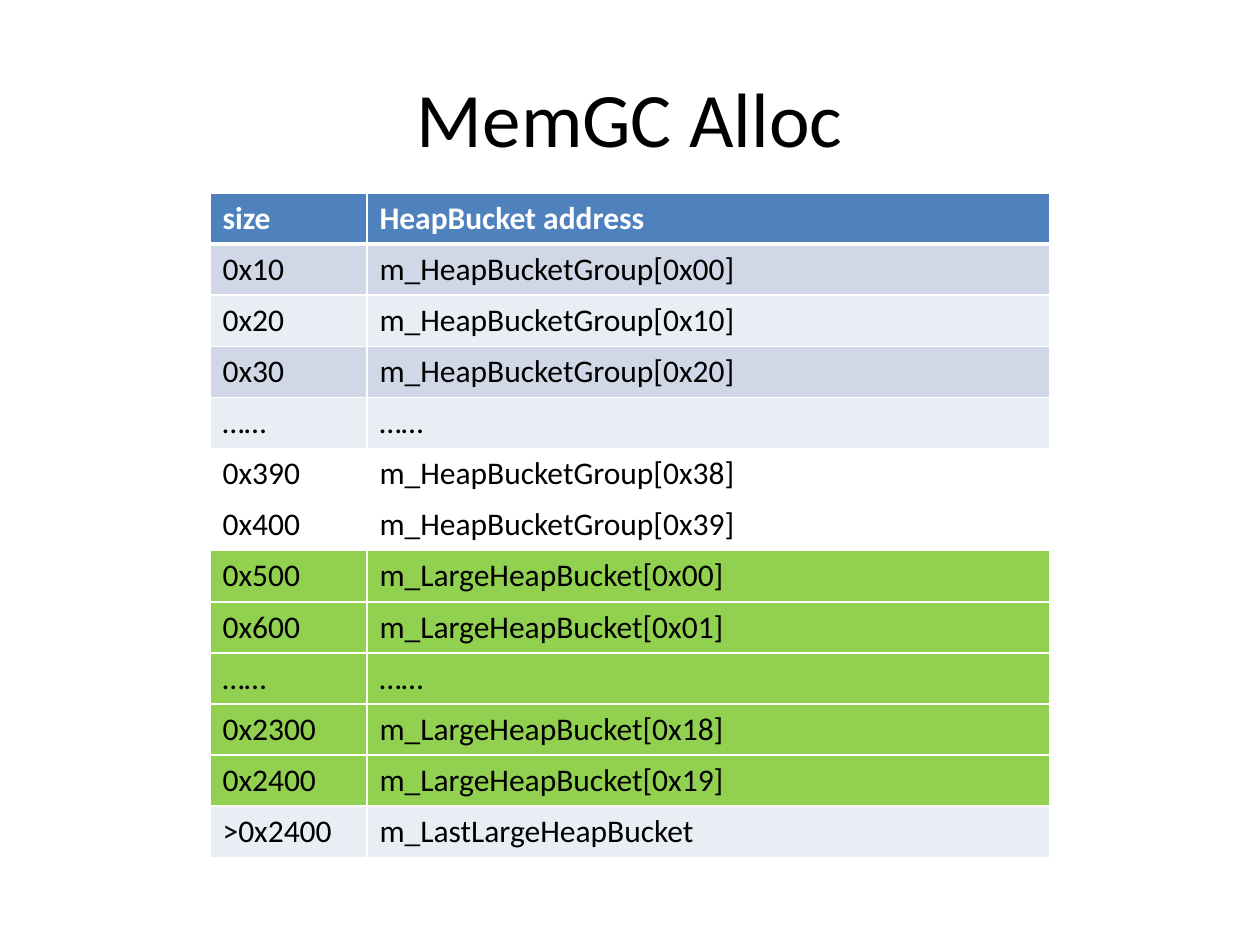
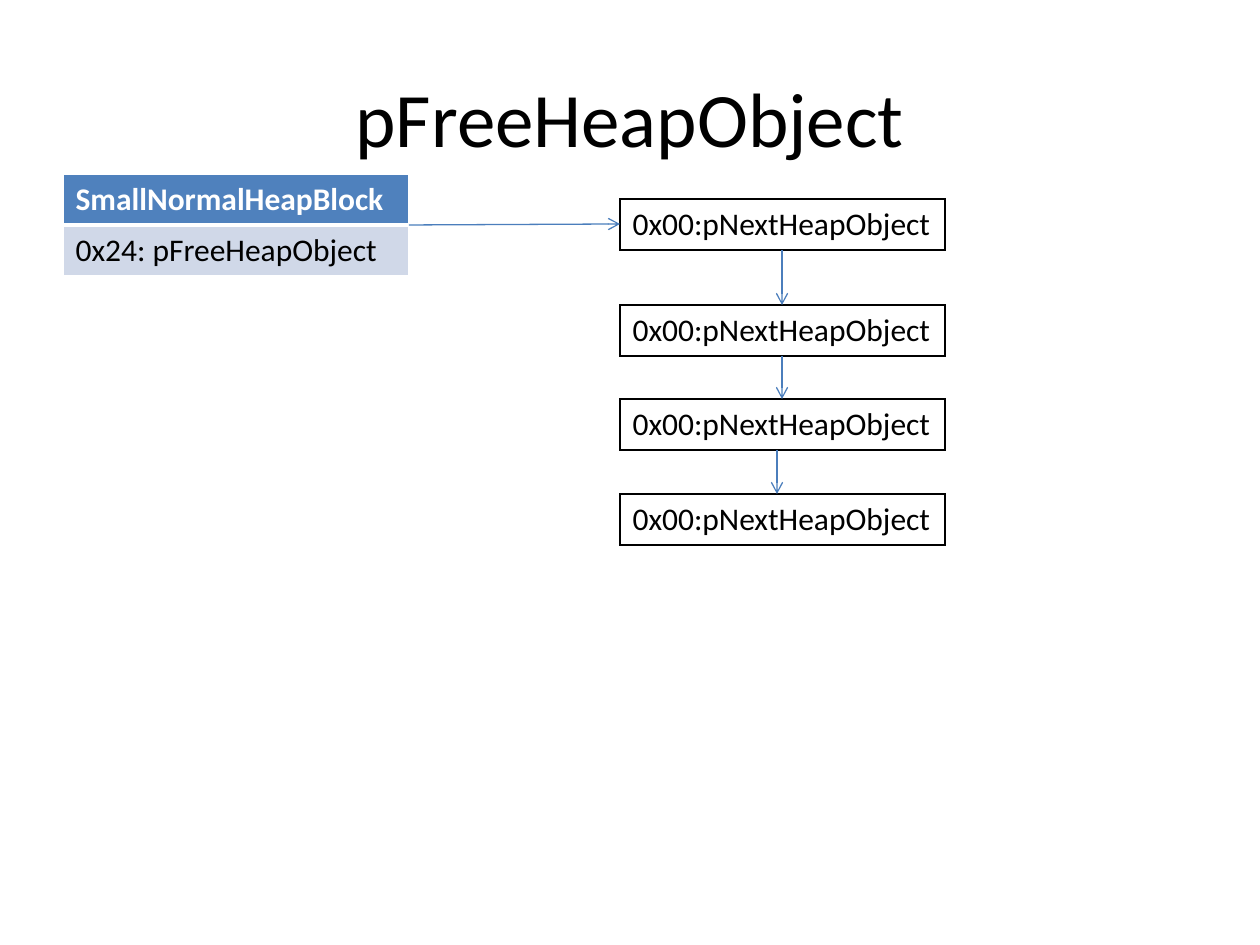
from dataclasses import dataclass
from itertools import pairwise
from typing import NamedTuple, Optional

from lxml.etree import SubElement
from pptx import Presentation
from pptx.dml.color import RGBColor
from pptx.enum.shapes import MSO_CONNECTOR
from pptx.enum.text import MSO_ANCHOR, PP_ALIGN
from pptx.oxml.ns import qn
from pptx.util import Emu, Pt

PX_PER_INCH = 126
TITLE_ONLY = 5


@dataclass(frozen=True)
class Theme:
    font: str = "Calibri"
    title_size: int = 44
    body_size: int = 18
    black: str = "000000"
    white: str = "FFFFFF"
    header: str = "4F81BD"
    band_dark: str = "D0D8E8"
    band_light: str = "E9EDF4"
    large_bucket: str = "92D050"
    arrow: str = "4B7EBC"
    rule: float = 1
    header_rule: float = 3
    arrow_width: float = 0.75


THEME = Theme()


class Box(NamedTuple):
    left: int
    top: int
    width: int
    height: int


class Row(NamedTuple):
    texts: tuple[str, ...]
    fill: Optional[str]
    header: bool = False


class Arrow(NamedTuple):
    x1: int
    y1: int
    x2: int
    y2: int


TITLE_BOX = Box(63, 38, 1134, 158)
ROW_HEIGHT = 51


def px(length: int) -> Emu:
    return Emu(round(length * 914400 / PX_PER_INCH))


def write(frame, text: str, *, size: int = THEME.body_size,
          color: str = THEME.black, bold: bool = False,
          align: PP_ALIGN = PP_ALIGN.LEFT) -> None:
    paragraph = frame.paragraphs[0]
    paragraph.alignment = align
    run = paragraph.add_run()
    run.text = text
    run.font.name = THEME.font
    run.font.size = Pt(size)
    run.font.bold = bold
    run.font.color.rgb = RGBColor.from_string(color)


def add_titled_slide(deck, text: str):
    slide = deck.slides.add_slide(deck.slide_layouts[TITLE_ONLY])
    title = slide.shapes.title
    title.left, title.top, title.width, title.height = map(px, TITLE_BOX)
    title.text_frame.vertical_anchor = MSO_ANCHOR.MIDDLE
    write(title.text_frame, text, size=THEME.title_size, align=PP_ALIGN.CENTER)
    return slide


def set_borders(cell, color: str, top: float, bottom: float) -> None:
    properties = cell._tc.get_or_add_tcPr()
    widths = {"a:lnL": THEME.rule, "a:lnR": THEME.rule, "a:lnT": top, "a:lnB": bottom}
    for side, width in widths.items():
        line = SubElement(properties, qn(side), w=str(Pt(width)))
        SubElement(SubElement(line, qn("a:solidFill")), qn("a:srgbClr"), val=color)


def add_grid(slide, left: int, top: int, widths: tuple[int, ...],
             rows: list[Row], border: str = THEME.white) -> None:
    frame = slide.shapes.add_table(len(rows), len(widths), px(left), px(top),
                                   px(sum(widths)), px(ROW_HEIGHT * len(rows)))
    table = frame.table
    table.first_row = rows[0].header
    table.horz_banding = False
    for column, width in zip(table.columns, widths):
        column.width = px(width)
    for index, row in enumerate(rows):
        table.rows[index].height = px(ROW_HEIGHT)
        below_header = index > 0 and rows[index - 1].header
        for column, text in enumerate(row.texts):
            cell = table.cell(index, column)
            set_borders(cell, border,
                        top=THEME.header_rule if below_header else THEME.rule,
                        bottom=THEME.header_rule if row.header else THEME.rule)
            if row.fill:
                cell.fill.solid()
                cell.fill.fore_color.rgb = RGBColor.from_string(row.fill)
            else:
                cell.fill.background()
            write(cell.text_frame, text, bold=row.header,
                  color=THEME.white if row.header else THEME.black)


def add_arrow(slide, arrow: Arrow) -> None:
    connector = slide.shapes.add_connector(MSO_CONNECTOR.STRAIGHT, *map(px, arrow))
    connector.line.color.rgb = RGBColor.from_string(THEME.arrow)
    connector.line.width = Pt(THEME.arrow_width)
    SubElement(connector.line._get_or_add_ln(), qn("a:tailEnd"), type="arrow")
    SubElement(connector._element.spPr, qn("a:effectLst"))


def build_alloc_slide(deck) -> None:
    slide = add_titled_slide(deck, "MemGC Alloc")
    dark, light, large = THEME.band_dark, THEME.band_light, THEME.large_bucket
    buckets = [
        Row(("size", "HeapBucket address"), THEME.header, header=True),
        Row(("0x10", "m_HeapBucketGroup[0x00]"), dark),
        Row(("0x20", "m_HeapBucketGroup[0x10]"), light),
        Row(("0x30", "m_HeapBucketGroup[0x20]"), dark),
        Row(("……", "……"), light),
        Row(("0x390", "m_HeapBucketGroup[0x38]"), THEME.white),
        Row(("0x400", "m_HeapBucketGroup[0x39]"), None),
        Row(("0x500", "m_LargeHeapBucket[0x00]"), large),
        Row(("0x600", "m_LargeHeapBucket[0x01]"), large),
        Row(("……", "……"), large),
        Row(("0x2300", "m_LargeHeapBucket[0x18]"), large),
        Row(("0x2400", "m_LargeHeapBucket[0x19]"), large),
        Row((">0x2400", "m_LastLargeHeapBucket"), light),
    ]
    add_grid(slide, 210, 193, (157, 683), buckets)


def build_free_list_slide(deck) -> None:
    slide = add_titled_slide(deck, "pFreeHeapObject")

    # Heap block that holds the head of the free list
    block_left, block_top, block_width = 63, 174, 346
    add_grid(slide, block_left, block_top, (block_width,), [
        Row(("SmallNormalHeapBlock",), THEME.header, header=True),
        Row(("0x24: pFreeHeapObject",), THEME.band_dark),
    ])

    # Chain of free objects
    object_left, object_width = 620, 325
    object_tops = (199, 305, 399, 494)
    for top in object_tops:
        add_grid(slide, object_left, top, (object_width,),
                 [Row(("0x00:pNextHeapObject",), None)], border=THEME.black)

    # Links from the block to the first object, then down the chain
    add_arrow(slide, Arrow(block_left + block_width, block_top + ROW_HEIGHT,
                           object_left, object_tops[0] + ROW_HEIGHT // 2))
    link_xs = (782, 782, 777)
    for x, (upper, lower) in zip(link_xs, pairwise(object_tops)):
        add_arrow(slide, Arrow(x, upper + ROW_HEIGHT, x, lower))


def main() -> None:
    deck = Presentation()
    deck.slide_width, deck.slide_height = px(1260), px(945)
    build_alloc_slide(deck)
    build_free_list_slide(deck)
    deck.save("out.pptx")


if __name__ == "__main__":
    main()
